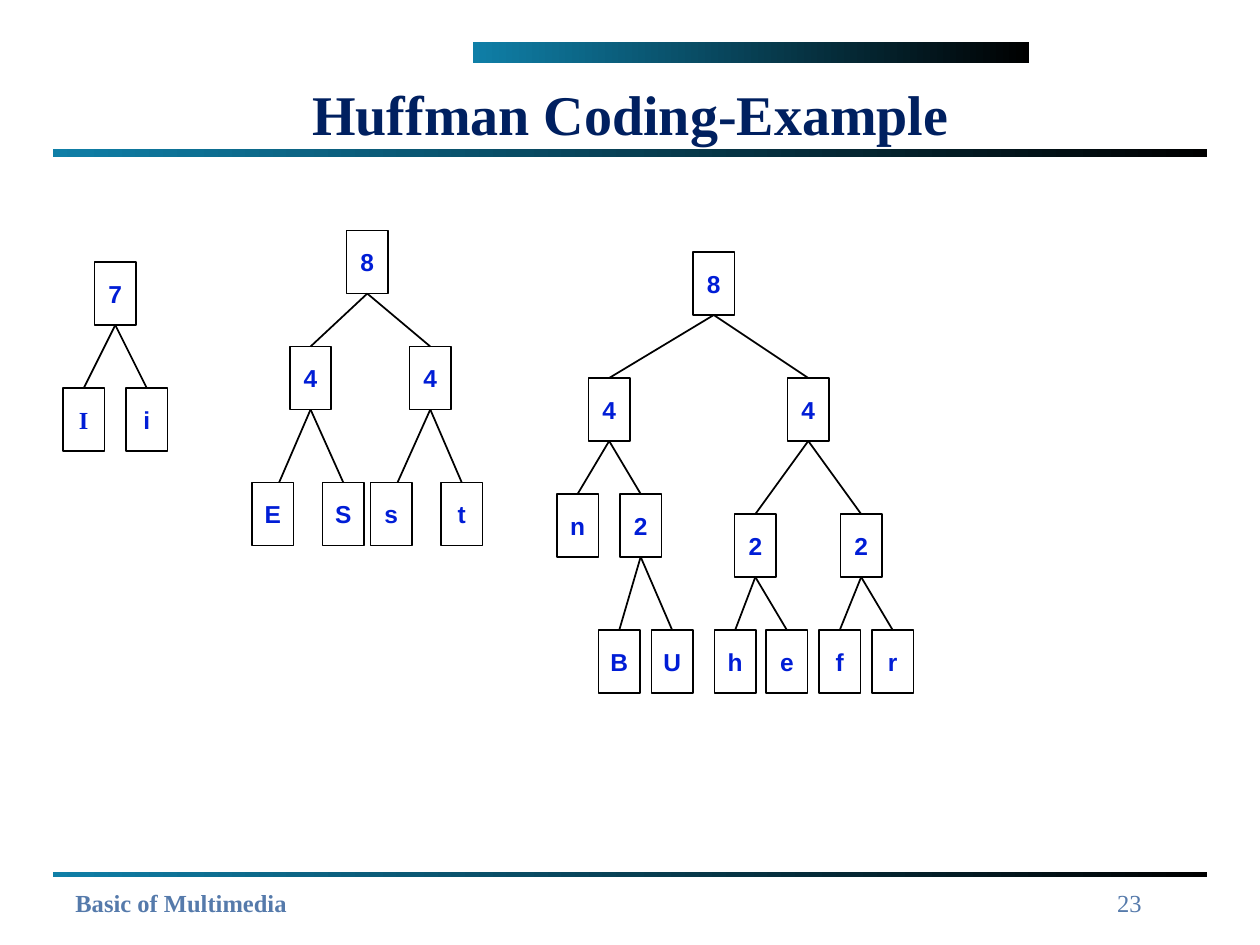
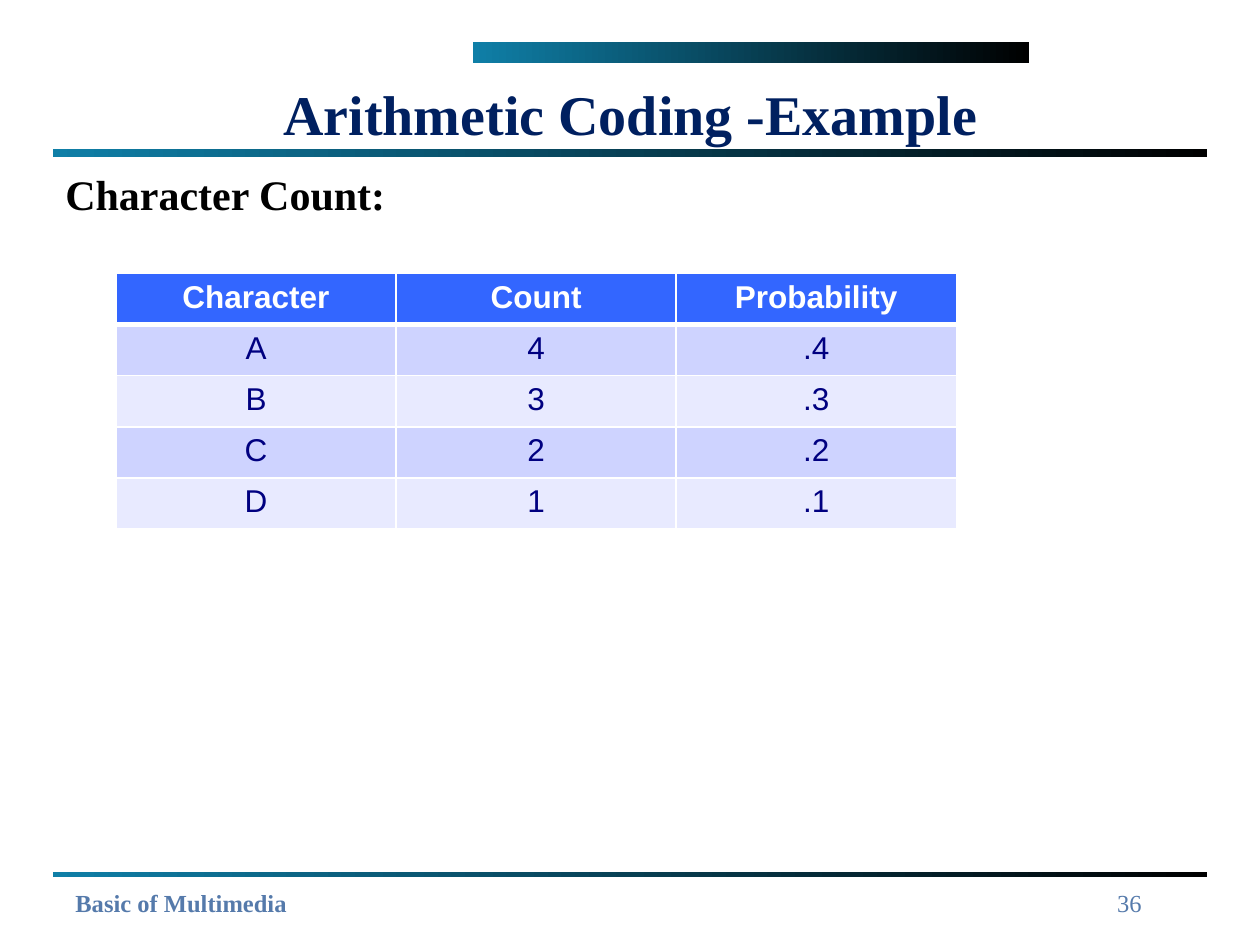
from lxml import etree
from pptx import Presentation
from pptx.dml.color import RGBColor
from pptx.enum.shapes import MSO_CONNECTOR, MSO_SHAPE
from pptx.enum.text import MSO_ANCHOR, PP_ALIGN
from pptx.oxml.ns import qn
from pptx.util import Inches, Pt

RECTANGLE = MSO_SHAPE.RECTANGLE
STRAIGHT = MSO_CONNECTOR.STRAIGHT
LEFT, CENTER, RIGHT = PP_ALIGN.LEFT, PP_ALIGN.CENTER, PP_ALIGN.RIGHT
TOP, MIDDLE = MSO_ANCHOR.TOP, MSO_ANCHOR.MIDDLE

SERIF, SANS = "Times New Roman", "Arial"
TITLE = {"name": SERIF, "size": Pt(32), "bold": True, "color": "002060"}
HEADING = {"name": SERIF, "size": Pt(24), "bold": True, "color": "000000"}
FOOTER = {"name": SERIF, "size": Pt(14), "bold": True, "color": "557AAB"}
PAGE_NUMBER = {**FOOTER, "bold": False}
NODE = {"name": SANS, "size": Pt(14), "bold": True, "color": "001DD6"}
TABLE_HEAD = {"name": SANS, "size": Pt(18), "bold": True, "color": "FFFFFF"}
TABLE_BODY = {**TABLE_HEAD, "bold": False, "color": "000080"}

BANDS = [(3.75, 0.33, 4.42, 0.17), (0.42, 1.18, 9.16, 0.07), (0.42, 6.92, 9.16, 0.04)]
BAND_COLORS = ["0F7FA7", "000000"]


def rgb(value):
    return RGBColor.from_string(value)


def write(frame, text, style, align, anchor):
    frame.word_wrap = True
    frame.vertical_anchor = anchor
    paragraph = frame.paragraphs[0]
    paragraph.alignment = align
    run = paragraph.add_run()
    run.text = text
    for attribute, value in style.items():
        if attribute == "color":
            run.font.color.rgb = rgb(value)
        else:
            setattr(run.font, attribute, value)


presentation = Presentation()
presentation.slide_width = Inches(10)
presentation.slide_height = Inches(7.5)
blank = presentation.slide_layouts[6]

slides = []
for title, number in [("Huffman Coding-Example", "23"), ("Arithmetic Coding -Example", "36")]:
    slide = presentation.slides.add_slide(blank)
    slides.append(slide)
    for box in BANDS:
        band = slide.shapes.add_shape(RECTANGLE, *map(Inches, box))
        band.shadow.inherit = False
        band.line.fill.background()
        band.fill.gradient()
        band.fill.gradient_angle = 0
        for stop, color in zip(band.fill.gradient_stops, BAND_COLORS):
            stop.color.rgb = rgb(color)
    for box, text, style, align, anchor in [
        ((0.5, 7, 6.08, 0.33), "Basic of Multimedia", FOOTER, LEFT, TOP),
        ((0.42, 0.56, 9.17, 0.67), title, TITLE, CENTER, MIDDLE),
        ((7.08, 7, 2.08, 0.5), number, PAGE_NUMBER, RIGHT, TOP),
    ]:
        area = slide.shapes.add_textbox(*map(Inches, box))
        write(area.text_frame, text, style, align, anchor)

huffman, arithmetic = slides

NODE_WIDTH, NODE_HEIGHT = 0.33, 0.5
TREES = [
    [
        ("7", 0.75, 2.08, None, 0),
        ("I", 0.5, 3.08, 0, 0),
        ("i", 1, 3.08, 0, 0),
    ],
    [
        ("8", 2.75, 1.83, None, 0),
        ("4", 2.3, 2.75, 0, 0),
        ("4", 3.25, 2.75, 0, 0),
        ("E", 2, 3.83, 1, 0.05),
        ("S", 2.56, 3.83, 1, 0),
        ("s", 2.94, 3.83, 2, 0.05),
        ("t", 3.5, 3.83, 2, 0),
    ],
    [
        ("8", 5.5, 2, None, 0),
        ("4", 4.67, 3, 0, 0),
        ("4", 6.25, 3, 0, 0),
        ("n", 4.42, 3.92, 1, 0),
        ("2", 4.92, 3.92, 1, 0),
        ("2", 5.83, 4.08, 2, 0),
        ("2", 6.67, 4.08, 2, 0),
        ("B", 4.75, 5, 4, 0),
        ("U", 5.17, 5, 4, 0),
        ("h", 5.67, 5, 5, 0),
        ("e", 6.08, 5, 5, 0),
        ("f", 6.5, 5, 6, 0),
        ("r", 6.92, 5, 6, 0),
    ],
]

for tree in TREES:
    for symbol, left, top, parent, nudge in tree:
        node = huffman.shapes.add_shape(
            RECTANGLE, Inches(left), Inches(top), Inches(NODE_WIDTH), Inches(NODE_HEIGHT)
        )
        node.shadow.inherit = False
        node.fill.solid()
        node.fill.fore_color.rgb = rgb("FFFFFF")
        node.line.color.rgb = rgb("000000")
        node.line.width = Pt(1)
        style = {**NODE, "name": SERIF} if symbol == "I" else NODE
        write(node.text_frame, symbol, style, CENTER, MIDDLE)
        node.text_frame.margin_left = node.text_frame.margin_right = 0
        if parent is None:
            continue
        parent_left, parent_top = tree[parent][1:3]
        branch = huffman.shapes.add_connector(
            STRAIGHT,
            Inches(parent_left + NODE_WIDTH / 2),
            Inches(parent_top + NODE_HEIGHT),
            Inches(left + NODE_WIDTH / 2 + nudge),
            Inches(top),
        )
        branch.line.color.rgb = rgb("000000")
        branch.line.width = Pt(1)
        etree.SubElement(branch.element.spPr, qn("a:effectLst"))

heading = arithmetic.shapes.add_textbox(Inches(0.42), Inches(1.29), Inches(9.17), Inches(5.58))
write(heading.text_frame, "Character Count:", HEADING, LEFT, TOP)
heading.text_frame.paragraphs[0].space_before = Pt(4.8)

COUNTS = [
    ("Character", "Count", "Probability"),
    ("A", "4", ".4"),
    ("B", "3", ".3"),
    ("C", "2", ".2"),
    ("D", "1", ".1"),
]
ROW_FILLS = ["3366FF", "CED3FF", "E8EAFF", "CED3FF", "E8EAFF"]

table = arithmetic.shapes.add_table(
    len(COUNTS), 3, Inches(0.92), Inches(2.17), Inches(6.67), Inches(2.03)
).table
for row_index, (values, fill) in enumerate(zip(COUNTS, ROW_FILLS)):
    borders = {
        "a:lnL": 1,
        "a:lnR": 1,
        "a:lnT": 3 if row_index == 1 else 1,
        "a:lnB": 3 if row_index == 0 else 1,
    }
    for column_index, value in enumerate(values):
        cell = table.cell(row_index, column_index)
        properties = cell._tc.get_or_add_tcPr()
        for tag, width in borders.items():
            border = etree.SubElement(properties, qn(tag), w=str(Pt(width)))
            paint = etree.SubElement(border, qn("a:solidFill"))
            etree.SubElement(paint, qn("a:srgbClr"), val="FFFFFF")
        cell.fill.solid()
        cell.fill.fore_color.rgb = rgb(fill)
        style = TABLE_BODY if row_index else TABLE_HEAD
        write(cell.text_frame, value, style, CENTER, TOP)

presentation.save("out.pptx")
